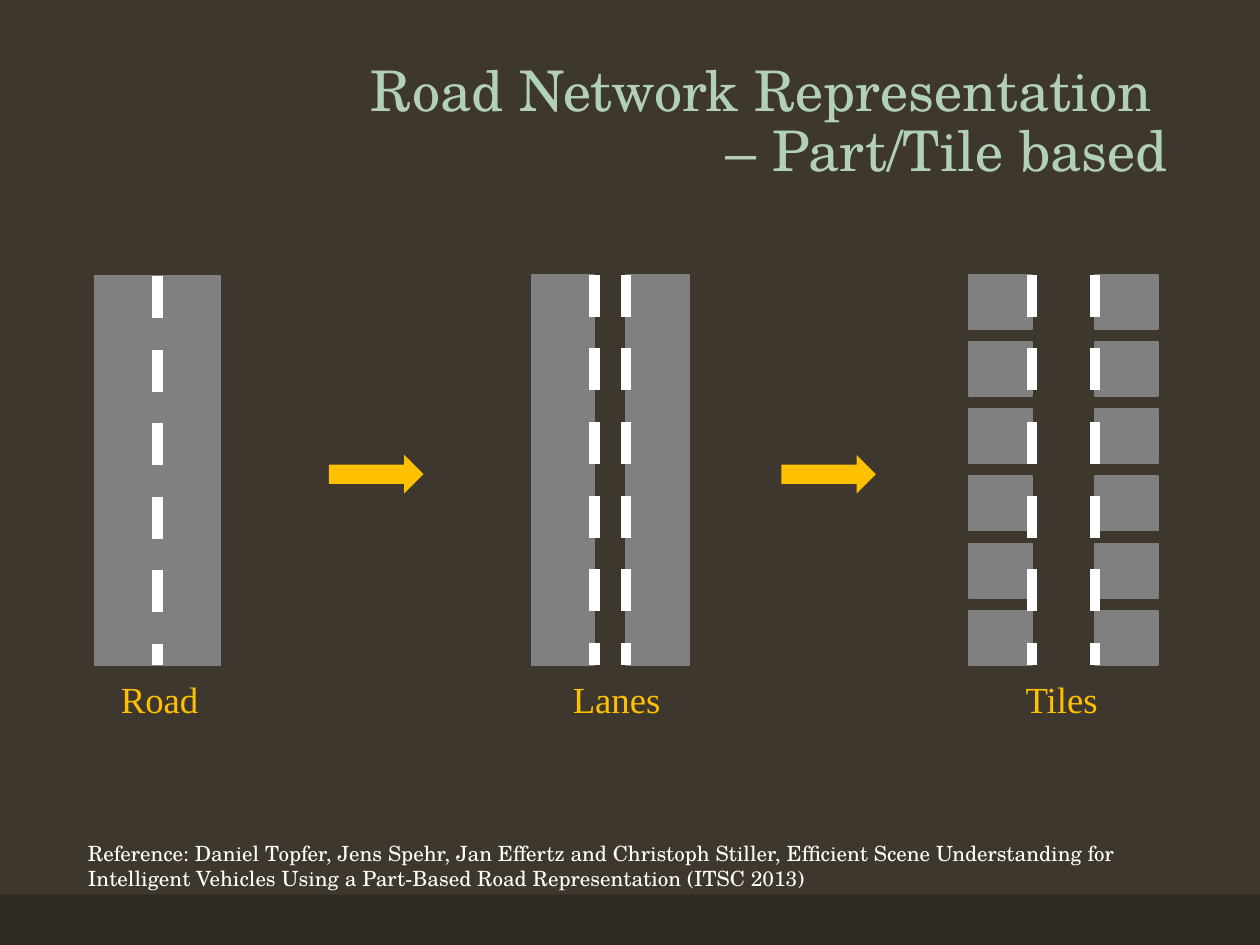
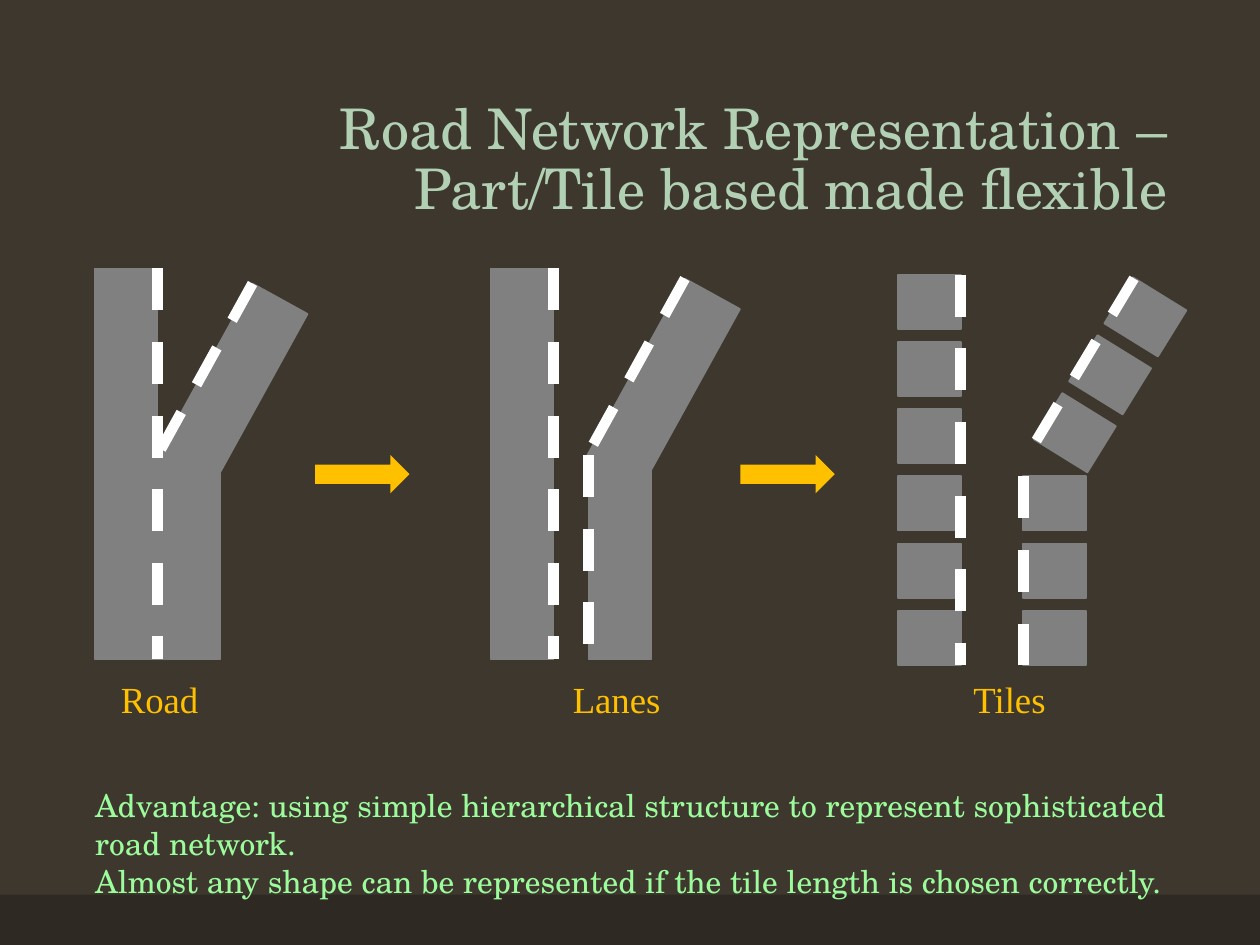
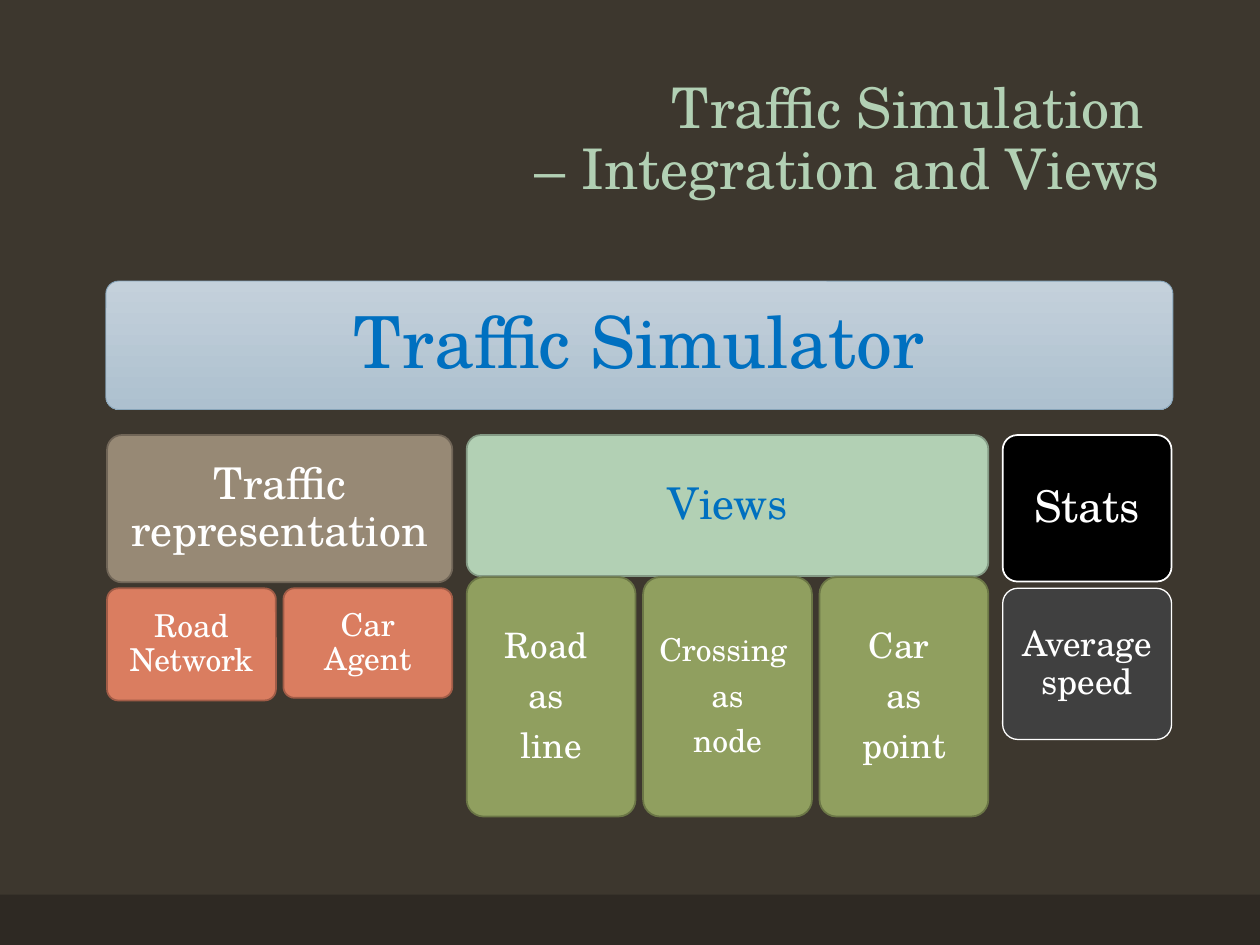
"""Build three slides on tile-based road networks and traffic simulation."""
from copy import deepcopy
from dataclasses import dataclass

from lxml import etree
from pptx import Presentation
from pptx.dml.color import RGBColor
from pptx.enum.dml import MSO_LINE
from pptx.enum.shapes import MSO_CONNECTOR, MSO_SHAPE
from pptx.enum.text import MSO_ANCHOR, MSO_AUTO_SIZE, PP_ALIGN
from pptx.oxml.ns import qn
from pptx.util import Pt

RECTANGLE = MSO_SHAPE.RECTANGLE
ROUNDED = MSO_SHAPE.ROUNDED_RECTANGLE
RIGHT_ARROW = MSO_SHAPE.RIGHT_ARROW
STRAIGHT = MSO_CONNECTOR.STRAIGHT
DASH = MSO_LINE.DASH
LEFT, CENTER, RIGHT = PP_ALIGN.LEFT, PP_ALIGN.CENTER, PP_ALIGN.RIGHT
TOP, MIDDLE, BOTTOM = MSO_ANCHOR.TOP, MSO_ANCHOR.MIDDLE, MSO_ANCHOR.BOTTOM
NO_FIT, GROW = MSO_AUTO_SIZE.NONE, MSO_AUTO_SIZE.SHAPE_TO_FIT_TEXT

SLIDE_WIDTH, SLIDE_HEIGHT = 720, 540
LANE_WIDTH = 36
TILE_HEIGHT, TILE_PITCH = 31, 38.4
SLANT_TILE_STEP = (-20.16, 33.1)
LABEL_TOP, ARROW_TOP = 383, 260
CARD_WIDTH, CARD_PITCH, GROUP_GAP = 96.5, 100.8, 8.2


@dataclass(frozen=True)
class Theme:
    font: str = "TeX Gyre Schola"
    label_font: str = "Times New Roman"
    background: str = "3D372E"
    band: str = "2E2923"
    title: str = "B2D0B4"
    white: str = "FFFFFF"
    road: str = "808080"
    accent: str = "FFC000"
    advantage: str = "9CFC9C"
    blue: str = "0070C0"
    banner: tuple = ("C4D1DB", "ADC0CF")
    banner_line: str = "88A5BA"
    representation: tuple = ("978975", "706557")
    component: tuple = ("DA7D60", "A15C47")
    views: tuple = ("B2D0B4", "849A85")
    view: tuple = ("909F5F", "6B7646")
    stats: tuple = ("000000", "FFFFFF")
    measure: tuple = ("404040", "FFFFFF")
    title_size: int = 32
    label_size: int = 21
    reference_size: int = 12
    body_size: int = 18
    banner_size: int = 41
    group_size: int = 25
    card_size: int = 20
    small_card_size: int = 18


THEME = Theme()


def rgb(color):
    return RGBColor.from_string(color)


def write(frame, text, *, size, color, font=THEME.font, align=LEFT, anchor=TOP,
          line_spacing=None, space_after=None, inset=None, wrap=True, fit=NO_FIT):
    frame.text = text
    frame.word_wrap = wrap
    frame.auto_size = fit
    frame.vertical_anchor = anchor
    if inset is not None:
        frame.margin_left = frame.margin_right = Pt(inset)
        frame.margin_top = frame.margin_bottom = Pt(inset)
    for paragraph in frame.paragraphs:
        paragraph.alignment = align
        paragraph.line_spacing = line_spacing
        if space_after is not None:
            paragraph.space_after = Pt(space_after)
        for run in paragraph.runs:
            run.font.name = font
            run.font.size = Pt(size)
            run.font.color.rgb = rgb(color)
        for line_break in paragraph._p.findall(qn("a:br")):
            line_break.append(deepcopy(paragraph.runs[0]._r.rPr))


class Deck:
    def __init__(self, theme):
        self.theme = theme
        self.slide = None
        self.presentation = Presentation()
        self.presentation.slide_width = Pt(SLIDE_WIDTH)
        self.presentation.slide_height = Pt(SLIDE_HEIGHT)
        background = self.presentation.slide_master.background.fill
        background.solid()
        background.fore_color.rgb = rgb(theme.background)

    def new_slide(self, title, left, top, width, height):
        layout = self.presentation.slide_layouts[5]
        self.slide = self.presentation.slides.add_slide(layout)
        self.shape(RECTANGLE, 0, 511.2, SLIDE_WIDTH, 28.8, self.theme.band)
        placeholder = self.slide.shapes.title
        placeholder.left, placeholder.top = Pt(left), Pt(top)
        placeholder.width, placeholder.height = Pt(width), Pt(height)
        write(placeholder.text_frame, title, size=self.theme.title_size,
              color=self.theme.title, align=RIGHT, anchor=BOTTOM, line_spacing=0.9)

    def shape(self, kind, left, top, width, height, fill, line=None, line_width=1):
        shape = self.slide.shapes.add_shape(
            kind, Pt(left), Pt(top), Pt(width), Pt(height))
        shape.shadow.inherit = False
        if isinstance(fill, tuple):
            shape.fill.gradient()
            shape.fill.gradient_angle = 270
            for stop, color in zip(shape.fill.gradient_stops, fill):
                stop.color.rgb = rgb(color)
        else:
            shape.fill.solid()
            shape.fill.fore_color.rgb = rgb(fill)
        if line:
            shape.line.color.rgb = rgb(line)
            shape.line.width = Pt(line_width)
        else:
            shape.line.fill.background()
        return shape

    def text(self, text, left, top, width, height, **style):
        box = self.slide.shapes.add_textbox(Pt(left), Pt(top), Pt(width), Pt(height))
        write(box.text_frame, text, fit=GROW, **style)

    def label(self, text, left, width):
        self.text(text, left, LABEL_TOP, width, 32.4, size=self.theme.label_size,
                  color=self.theme.accent, font=self.theme.label_font, wrap=False)

    def arrow(self, left):
        self.shape(RIGHT_ARROW, left, ARROW_TOP, 54, 22, self.theme.accent)

    def pavement(self, left, top, height, width=LANE_WIDTH, rotation=0):
        road = self.theme.road
        shape = self.shape(RECTANGLE, left, top, width, height, road, road)
        shape.rotation = rotation

    def marking(self, start_x, start_y, end_x, end_y):
        connector = self.slide.shapes.add_connector(
            STRAIGHT, Pt(start_x), Pt(start_y), Pt(end_x), Pt(end_y))
        connector.line.color.rgb = rgb(self.theme.white)
        connector.line.width = Pt(6)
        connector.line.dash_style = DASH
        etree.SubElement(connector._element.spPr, qn("a:effectLst"))

    def lane(self, left, top, height, marking_offset):
        self.pavement(left, top, height)
        x = left + marking_offset
        self.marking(x, top, x, top + height)

    def slanted_lane(self, left, top):
        self.pavement(left, top, 116.6, rotation=208.9)
        self.marking(left + 30.5, top - 1.4, left - 26, top + 100.8)

    def tiles(self, left, top, count, marking_offset):
        for index in range(count):
            self.pavement(left, top + index * TILE_PITCH, TILE_HEIGHT)
        x = left + marking_offset
        self.marking(x, top, x, top + (count - 1) * TILE_PITCH + TILE_HEIGHT)

    def slanted_tiles(self, left, top, count):
        step_x, step_y = SLANT_TILE_STEP
        for index in range(count):
            self.pavement(left + index * step_x, top + index * step_y,
                          TILE_HEIGHT, rotation=31.7)
        self.marking(left + 11.5, top - 6.5, left - 45.3, top + 87.9)

    def card(self, text, left, top, width, height, fill, line, size, color,
             line_width=1):
        shape = self.shape(ROUNDED, left, top, width, height, fill, line, line_width)
        shape.adjustments[0] = 0.1
        write(shape.text_frame, text, size=size, color=color, align=CENTER,
              anchor=MIDDLE, line_spacing=0.9, space_after=0.35 * size,
              inset=round(0.29 * size, 2))


def build_tile_slide(deck):
    deck.new_slide("Road Network Representation \v– Part/Tile based",
                   54, 13.7, 620.6, 95)
    deck.text("Reference: Daniel Topfer, Jens Spehr, Jan Effertz and Christoph "
              "Stiller, Efficient Scene Understanding for Intelligent Vehicles "
              "Using a Part-Based Road Representation (ITSC 2013)",
              43.2, 476.6, 643, 36, size=THEME.reference_size, color=THEME.white)
    deck.pavement(54, 157.7, 222.5, width=2 * LANE_WIDTH)
    deck.marking(90, 157.7, 90, 380.2)
    deck.lane(303.8, 157, 223.2, LANE_WIDTH)
    deck.lane(357.8, 157, 223.2, 0)
    deck.tiles(553.7, 157, 6, LANE_WIDTH)
    deck.tiles(625.7, 157, 6, 0)
    for left in (188, 446.5):
        deck.arrow(left)
    for text, left, width in (("Road", 62, 59), ("Lanes", 320.2, 65.5),
                              ("Tiles", 579, 56)):
        deck.label(text, left, width)


def build_flexible_slide(deck):
    deck.new_slide("Road Network Representation – Part/Tile based made flexible",
                   54, 25.2, 620.6, 105.1)
    deck.pavement(90, 260, 116.6)
    deck.slanted_lane(113.8, 163.4)
    deck.lane(54, 153.4, 223.2, LANE_WIDTH)
    deck.slanted_lane(360.9, 160.6)
    deck.lane(280.3, 153.4, 223.2, LANE_WIDTH)
    deck.lane(336.4, 260, 116.6, 0)
    deck.tiles(513, 157, 6, LANE_WIDTH)
    deck.slanted_tiles(636.5, 165.6, 3)
    deck.tiles(584.8, 157 + 3 * TILE_PITCH, 3, 0)
    for left in (180, 423):
        deck.arrow(left)
    for text, left, width in (("Road", 62, 59), ("Lanes", 320.2, 65.5),
                              ("Tiles", 549.2, 56)):
        deck.label(text, left, width)
    deck.text("Advantage: using simple hierarchical structure to represent "
              "sophisticated road network.\nAlmost any shape can be represented "
              "if the tile length is chosen correctly.",
              47.3, 445.7, 643, 72.7, size=THEME.body_size, color=THEME.advantage)


def build_simulator_slide(deck):
    deck.new_slide("Traffic Simulation \v– Integration and Views",
                   49.7, 28.8, 620.6, 90)
    deck.card("Traffic Simulator", 60.5, 160.6, 609.8, 73.4, THEME.banner,
              THEME.banner_line, THEME.banner_size, THEME.blue, line_width=0.5)
    small, medium = THEME.small_card_size, THEME.card_size
    groups = (
        ("Traffic representation", THEME.representation, THEME.white, 84.2,
         336.2, THEME.component, 1,
         (("Road Network", 64.1, small), ("Car Agent", 62.6, small))),
        ("Views", THEME.views, THEME.blue, 80.6,
         329.8, THEME.view, 1,
         (("Road \nas \nline", 136.8, medium),
          ("Crossing \nas\nnode", 136.8, small),
          ("Car \nas\npoint", 136.8, medium))),
        ("Stats", THEME.stats, THEME.white, 83.7,
         336.2, THEME.measure, 0.75,
         (("Average speed", 86.4, medium),)),
    )
    left = 61.2
    for (heading, heading_colors, heading_text, heading_height,
         cards_top, card_colors, card_line, cards) in groups:
        width = CARD_WIDTH + (len(cards) - 1) * CARD_PITCH
        deck.card(heading, left, 248.6, width, heading_height, *heading_colors,
                  THEME.group_size, heading_text)
        for index, (text, height, size) in enumerate(cards):
            deck.card(text, left + index * CARD_PITCH, cards_top, CARD_WIDTH, height,
                      *card_colors, size, THEME.white, line_width=card_line)
        left += width + GROUP_GAP


def main():
    deck = Deck(THEME)
    build_tile_slide(deck)
    build_flexible_slide(deck)
    build_simulator_slide(deck)
    deck.presentation.save("out.pptx")


if __name__ == "__main__":
    main()
